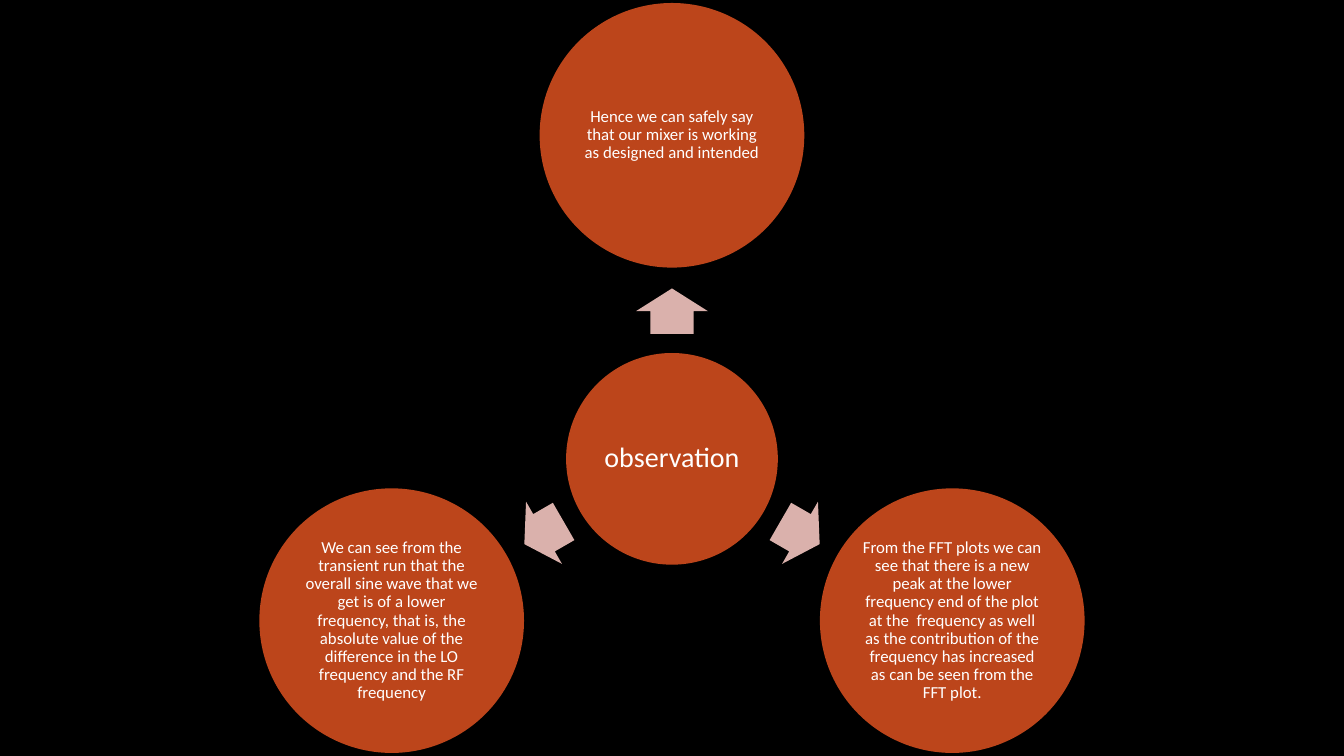
from dataclasses import dataclass
from math import cos, radians, sin

from pptx import Presentation
from pptx.dml.color import RGBColor
from pptx.enum.shapes import MSO_SHAPE as Kind
from pptx.enum.text import MSO_ANCHOR as Anchor, PP_ALIGN as Align
from pptx.shapes.autoshape import Shape
from pptx.slide import Slide
from pptx.util import Inches, Pt

WIDE, HIGH = Inches(13.33), Inches(7.5)
RUST, ROSE, WHITE, BLACK = "BC451B", "DAB1AC", "FFFFFF", "000000"

# Lengths are percentages of the slide height
UNIT = HIGH / 100
MID_X, MID_Y = WIDE / UNIT / 2, 60.7
HUB, DISC = 28, 35
REACH, GAP = 42.8, 19.55
ARROW = (6, 9.5)


@dataclass
class Spoke:
    angle: int  # degrees clockwise from the right
    text: str


SPOKES = [
    Spoke(270, "Hence we can safely say that our mixer is working "
               "as designed and intended"),
    Spoke(30, "From the FFT plots we can see that there is a new peak at the "
              "lower frequency end of the plot at the  frequency as well as "
              "the contribution of the frequency has increased as can be seen "
              "from the FFT plot."),
    Spoke(150, "We can see from the transient run that the overall sine wave "
               "that we get is of a lower frequency, that is, the absolute "
               "value of the difference in the LO frequency and the RF "
               "frequency"),
]


def color(code: str) -> RGBColor:
    return RGBColor.from_string(code)


def place(slide: Slide, kind: Kind, angle: float, dist: float,
          wide: float, high: float, fill: str) -> Shape:
    """Add a shape centred at a polar offset from the hub."""
    x = MID_X + dist * cos(radians(angle)) - wide / 2
    y = MID_Y + dist * sin(radians(angle)) - high / 2
    shape = slide.shapes.add_shape(
        kind, *(round(part * UNIT) for part in (x, y, wide, high)))
    shape.shadow.inherit = False
    shape.fill.solid()
    shape.fill.fore_color.rgb = color(fill)
    shape.line.fill.background()
    return shape


def disc(slide: Slide, angle: float, dist: float, size: float,
         text: str, points: int, inset: float) -> None:
    frame = place(slide, Kind.OVAL, angle, dist, size, size, RUST).text_frame
    frame.word_wrap = True
    frame.vertical_anchor = Anchor.MIDDLE
    frame.margin_left = frame.margin_right = Inches(inset)
    frame.margin_top = frame.margin_bottom = Inches(inset)
    para = frame.paragraphs[0]
    para.text = text
    para.alignment = Align.CENTER
    para.line_spacing = 0.9
    para.font.name = "Calibri"
    para.font.size = Pt(points)
    para.font.color.rgb = color(WHITE)


def arrow(slide: Slide, angle: int) -> None:
    shape = place(slide, Kind.RIGHT_ARROW, angle, GAP, *ARROW, ROSE)
    shape.rotation = angle
    shape.adjustments[0] = 0.6
    shape.adjustments[1] = 0.5


def main() -> None:
    deck = Presentation()
    deck.slide_width, deck.slide_height = WIDE, HIGH
    slide = deck.slides.add_slide(deck.slide_layouts[6])
    slide.background.fill.solid()
    slide.background.fill.fore_color.rgb = color(BLACK)

    # Hub, then each arrow with its disc
    disc(slide, 0, 0, HUB, "observation", 20, 0.03)
    for spoke in SPOKES:
        arrow(slide, spoke.angle)
        disc(slide, spoke.angle, REACH, DISC, spoke.text, 12, 0.02)

    deck.save("out.pptx")


if __name__ == "__main__":
    main()
